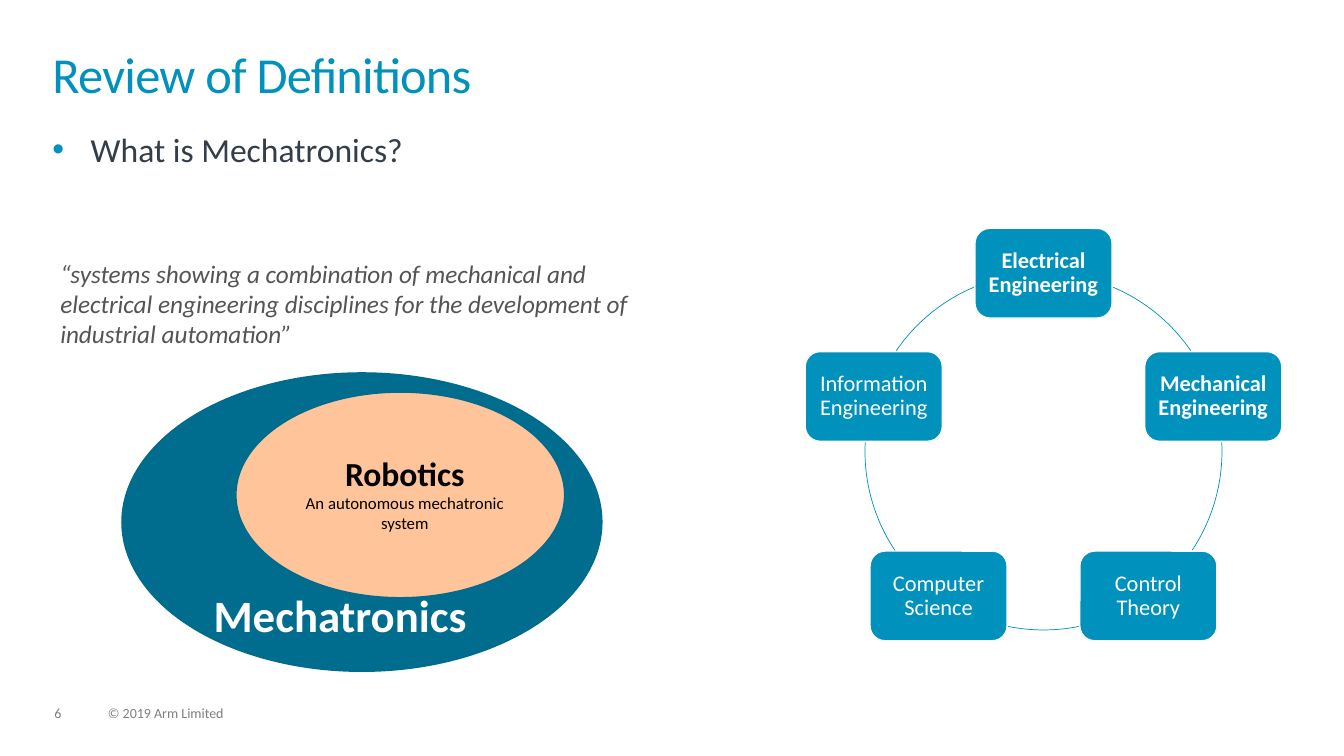
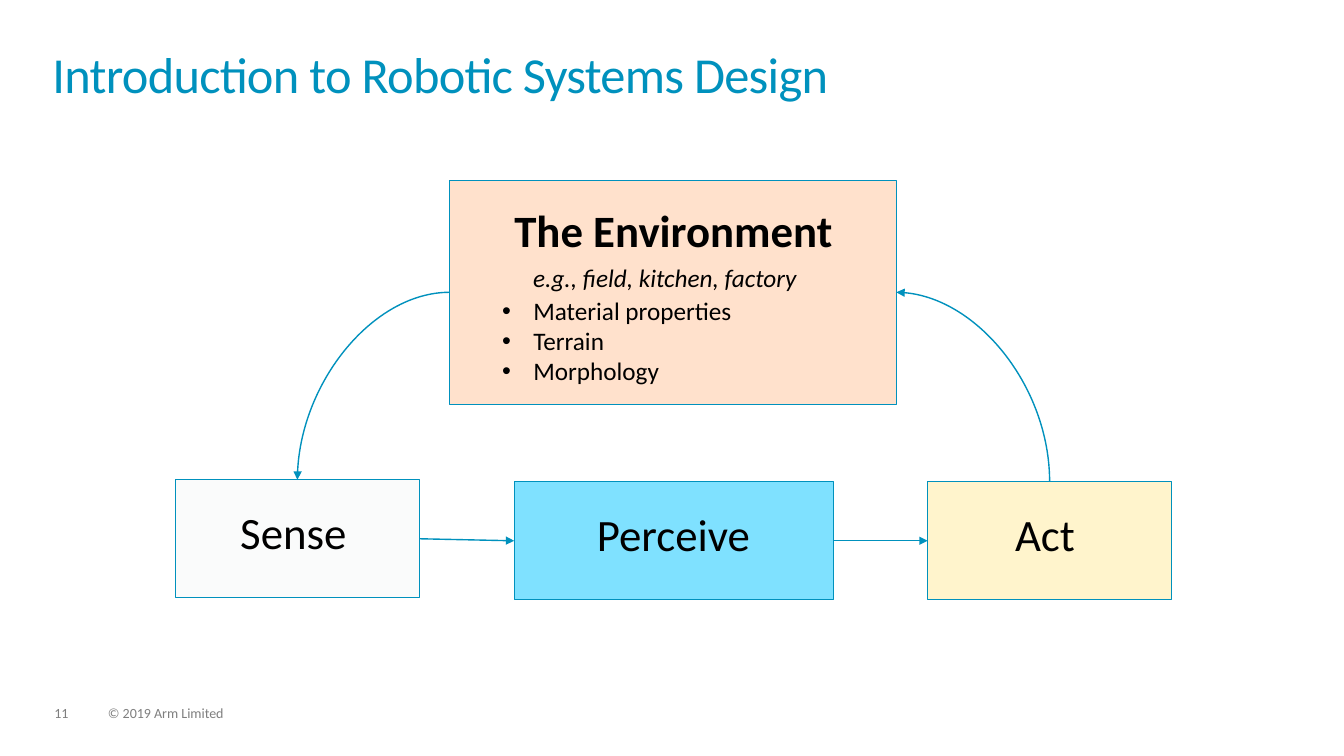
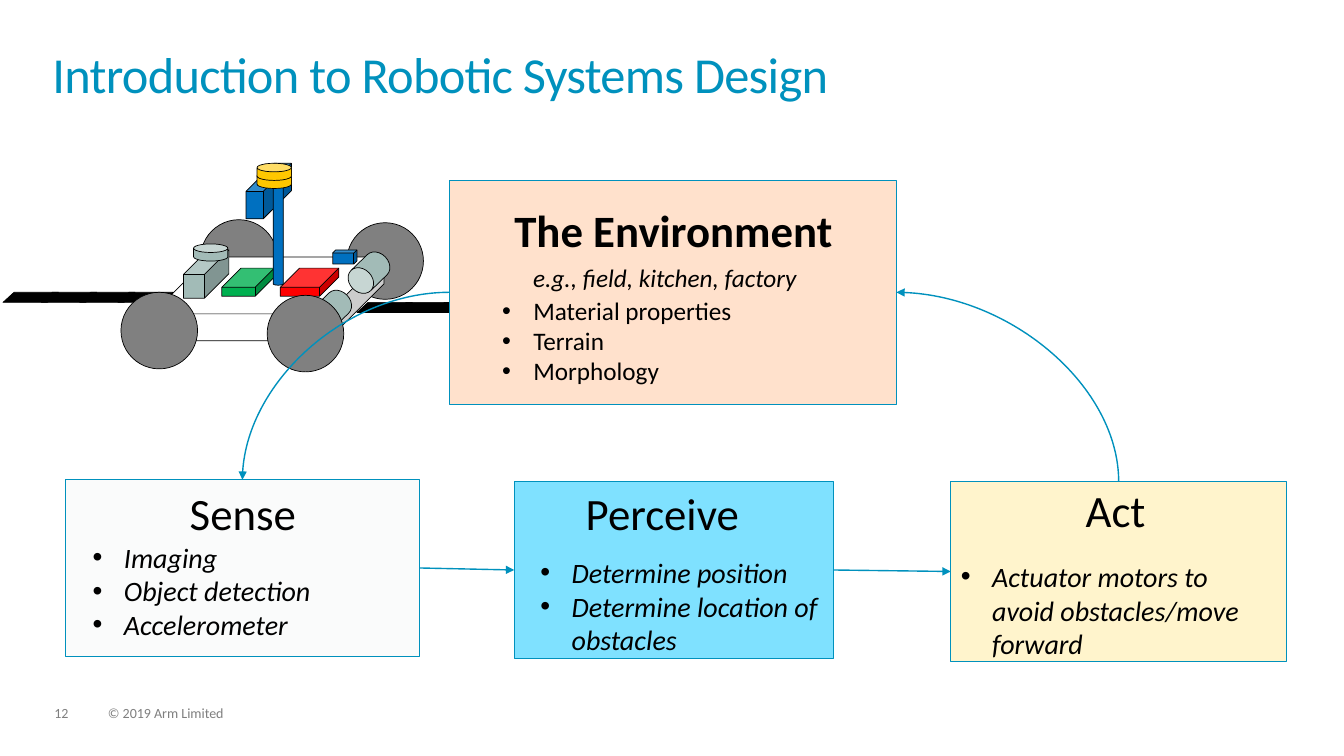
"""Build three slides on mechatronics and robotic systems design."""
from dataclasses import dataclass
from math import cos, radians, sin

from lxml.etree import SubElement
from pptx import Presentation
from pptx.dml.color import RGBColor
from pptx.enum.shapes import MSO_CONNECTOR as Connector, MSO_SHAPE as Kind
from pptx.enum.text import MSO_ANCHOR as Anchor, MSO_AUTO_SIZE as AutoSize, PP_ALIGN as Align
from pptx.oxml.ns import qn
from pptx.util import Inches, Pt


@dataclass(frozen=True)
class Theme:
    font: str = "Calibri"
    blue: str = "0091BD"
    deep_blue: str = "006D8E"
    deep_line: str = "006B8C"
    sky: str = "7FE1FF"
    mist: str = "FAFBFB"
    peach: str = "FFE1CC"
    orange: str = "FFC499"
    cream: str = "FFF4CC"
    ink: str = "333E48"
    quote: str = "545454"
    footer: str = "7F7F7F"
    white: str = "FFFFFF"
    black: str = "000000"
    wheel: str = "808080"
    steel: str = "A2BBB7"
    red: str = "FF0000"
    green: str = "00B050"
    cobalt: str = "0070C0"
    yellow: str = "FFC700"
    title_size: int = 36
    heading_size: int = 32
    body_size: int = 24
    detail_size: int = 20
    text_size: int = 18
    node_size: int = 16
    caption_size: int = 12
    footer_size: int = 10


THEME = Theme()


class Deck:
    def __init__(self, theme):
        self.theme = theme
        self.presentation = Presentation()
        self.presentation.slide_width = Inches(13.33)
        self.presentation.slide_height = Inches(7.5)
        self.slide = None

    def new_slide(self, title, number, body=None):
        theme = self.theme
        layout = self.presentation.slide_layouts[1 if body else 5]
        self.slide = self.presentation.slides.add_slide(layout)
        run = self.fill_placeholder(0, (0.52, 0.52, 12.28, 0.72), title,
                                    theme.title_size, colour=theme.blue, spacing=0.85)
        run.font._element.set("spc", "-50")
        if body:
            self.fill_placeholder(1, (0.52, 1.28, 5.73, 4.47), body, theme.body_size,
                                  colour=theme.ink, bullet=theme.blue, indent=0.38)
        for left, width, text in ((0.54, 0.34, number), (1.07, 1.71, "© 2019 Arm Limited")):
            self.text((left, 7.01, width, 0.15), text, size=theme.footer_size,
                      colour=theme.footer, spacing=0.9)

    def fill_placeholder(self, index, at, text, size, **style):
        shape = self.slide.placeholders[index]
        shape.left, shape.top, shape.width, shape.height = map(Inches, at)
        self.frame(shape, 0, 0, Anchor.TOP)
        return self.paragraph(shape.text_frame, text, size, **style)

    def frame(self, shape, side, end, anchor):
        frame = shape.text_frame
        frame.word_wrap = True
        frame.auto_size = AutoSize.NONE
        frame.vertical_anchor = anchor
        frame.margin_left = frame.margin_right = Inches(side)
        frame.margin_top = frame.margin_bottom = Inches(end)

    def paragraph(self, frame, text, size, colour=None, bold=False, italic=False,
                  align=Align.LEFT, spacing=1.0, bullet=None, indent=0.31):
        paragraph = frame.paragraphs[0]
        if paragraph.runs:
            paragraph = frame.add_paragraph()
        if bullet:
            properties = paragraph._p.get_or_add_pPr()
            properties.set("marL", str(Inches(indent)))
            properties.set("indent", str(-Inches(indent)))
            SubElement(SubElement(properties, qn("a:buClr")), qn("a:srgbClr")).set("val", bullet)
            SubElement(properties, qn("a:buFont")).set("typeface", "Arial")
            SubElement(properties, qn("a:buChar")).set("char", "•")
        paragraph.alignment = align
        paragraph.line_spacing = spacing
        paragraph.space_before = Pt(0)
        run = paragraph.add_run()
        run.text = text
        font = run.font
        font.name, font.size, font.bold, font.italic = self.theme.font, Pt(size), bold, italic
        font.color.rgb = RGBColor.from_string(colour or self.theme.black)
        return run

    def text(self, at, *lines, side=0, end=0, **style):
        box = self.slide.shapes.add_textbox(*map(Inches, at))
        self.frame(box, side, end, Anchor.TOP)
        for line in lines:
            self.paragraph(box.text_frame, line, **style)
        return box

    def shape(self, kind, at, fill=None, line=None, width=0.5, adjust=(), rotation=0):
        shape = self.slide.shapes.add_shape(kind, *map(Inches, at))
        shape.shadow.inherit = False
        shape.rotation = rotation
        for index, value in enumerate(adjust):
            shape.adjustments[index] = value
        if fill:
            shape.fill.solid()
            shape.fill.fore_color.rgb = RGBColor.from_string(fill)
        else:
            shape.fill.background()
        shape.line.color.rgb = RGBColor.from_string(line or self.theme.blue)
        shape.line.width = Pt(width)
        return shape

    def node(self, at, label, bold):
        theme = self.theme
        shape = self.shape(Kind.ROUNDED_RECTANGLE, at, theme.blue, theme.white, 1)
        self.frame(shape, 0.07, 0.07, Anchor.MIDDLE)
        self.paragraph(shape.text_frame, label, theme.node_size, colour=theme.white,
                       bold=bold, align=Align.CENTER, spacing=0.9)

    def connector(self, kind, begin, end, arrow):
        connector = self.slide.shapes.add_connector(kind, *begin, *end)
        connector.line.color.rgb = RGBColor.from_string(self.theme.blue)
        connector.line.width = Pt(1)
        SubElement(connector.line._get_or_add_ln(), qn(arrow)).set("type", "triangle")
        properties = connector._element.spPr
        SubElement(properties, qn("a:effectLst"))
        if kind == Connector.CURVE:
            properties.find(qn("a:prstGeom")).set("prst", "curvedConnector2")
        return connector

    def arrow(self, source, target):
        begin = source.left + source.width, source.top + source.height // 2
        end = target.left, target.top + target.height // 2
        connector = self.connector(Connector.STRAIGHT, begin, end, "a:tailEnd")
        connector.begin_connect(source, 3)
        connector.end_connect(target, 1)

    def curve(self, upper, lower, to_lower):
        begin_x = upper.left if to_lower else upper.left + upper.width
        begin = begin_x, upper.top + upper.height // 2
        end = lower.left + lower.width // 2, lower.top
        self.connector(Connector.CURVE, begin, end, "a:tailEnd" if to_lower else "a:headEnd")


def draw_discipline_ring(deck):
    centre_x, centre_y, radius = 10.35, 4.48, 1.77
    width, height = 1.36, 0.89
    disciplines = (("Electrical Engineering", True), ("Mechanical Engineering", True),
                   ("Control Theory", False), ("Computer Science", False),
                   ("Information Engineering", False))
    arcs = ((293, 325.6), (357.1, 33.7), (78.6, 101.4), (146.3, 182.9), (214.4, 247))
    ring = (centre_x - radius, centre_y - radius, 2 * radius, 2 * radius)
    for index, ((label, bold), arc) in enumerate(zip(disciplines, arcs)):
        angle = radians(360 / len(disciplines) * index - 90)
        left = centre_x + radius * cos(angle) - width / 2
        top = centre_y + radius * sin(angle) - height / 2
        deck.node((left, top, width, height), label, bold)
        deck.shape(Kind.ARC, ring, adjust=[degrees * 0.6 for degrees in arc])


def draw_definitions(deck):
    theme = deck.theme
    deck.new_slide("Review of Definitions", "6", "What is Mechatronics?")
    draw_discipline_ring(deck)
    deck.text((0.5, 2.51, 6.17, 1.01),
              "“systems showing a combination of mechanical and electrical engineering "
              "disciplines for the development of industrial automation”",
              side=0.1, end=0.05, size=theme.text_size, colour=theme.quote, italic=True)
    deck.shape(Kind.OVAL, (1.21, 3.7, 4.76, 2.96), theme.deep_blue, theme.deep_line, 1)
    deck.shape(Kind.OVAL, (2.34, 3.89, 3.26, 2.04), theme.orange, theme.deep_line, 1)
    robotics = deck.text((2.84, 4.44, 2.35, 0.91), "Robotics", side=0.1, end=0.05,
                         size=theme.body_size, bold=True, align=Align.CENTER)
    deck.paragraph(robotics.text_frame, "An autonomous mechatronic system",
                   theme.caption_size, align=Align.CENTER)
    deck.text((2.02, 5.78, 2.76, 0.64), "Mechatronics", side=0.1, end=0.05,
              size=theme.heading_size, colour=theme.white, bold=True)


def draw_cycle(deck, steps):
    theme = deck.theme
    environment = deck.shape(Kind.RECTANGLE, (4.46, 1.79, 4.43, 2.22), theme.peach)
    deck.text((4.72, 2.01, 3.92, 0.75), "The Environment",
              size=theme.heading_size, bold=True, align=Align.CENTER)
    deck.text((4.47, 2.6, 4.25, 0.39), "e.g., field, kitchen, factory",
              size=theme.text_size, italic=True, align=Align.CENTER)
    deck.text((4.98, 2.93, 3.8, 1), "Material properties", "Terrain", "Morphology",
              size=theme.text_size, bullet=theme.black)
    boxes = []
    fills = theme.mist, theme.sky, theme.cream
    for label, fill, (box_at, label_at) in zip(("Sense", "Perceive", "Act"), fills, steps):
        boxes.append(deck.shape(Kind.RECTANGLE, box_at, fill))
        deck.text(label_at, label, size=theme.heading_size, align=Align.CENTER)
    sense, perceive, act = boxes
    deck.arrow(sense, perceive)
    deck.arrow(perceive, act)
    deck.curve(environment, sense, to_lower=True)
    deck.curve(environment, act, to_lower=False)


def draw_robot(deck):
    theme = deck.theme
    wheel = 0.76
    parts = [
        (Kind.OVAL, (1.99, 2.18, wheel, wheel), theme.wheel),
        (Kind.OVAL, (3.44, 2.21, wheel, wheel), theme.wheel),
        (Kind.CUBE, (1.51, 2.55, 2.3, 0.83), theme.white, 0.68),
        (Kind.CUBE, (2.78, 2.66, 0.58, 0.28), theme.red, 0.68),
        (Kind.CAN, (3.52, 2.48, 0.28, 0.45), theme.steel, 0.81, 225.9),
        (Kind.CAN, (3.14, 2.86, 0.28, 0.45), theme.steel, 0.81, 225.9),
        (Kind.CUBE, (2.2, 2.66, 0.52, 0.28), theme.green, 0.68),
        (Kind.CUBE, (1.82, 2.48, 0.45, 0.48), theme.steel, 0.54),
        (Kind.CAN, (1.92, 2.42, 0.34, 0.17), theme.steel, 0.5),
        (Kind.OVAL, (2.65, 2.93, wheel, wheel), theme.wheel),
        (Kind.CUBE, (2.44, 1.62, 0.45, 0.55), theme.cobalt, 0.62),
        (Kind.CAN, (2.71, 1.8, 0.1, 1.03), theme.cobalt, 0.25),
        (Kind.CUBE, (3.3, 2.48, 0.24, 0.14), theme.cobalt, 0.22),
    ]
    for start, top, count in ((0.03, 2.9, 4), (3.54, 3, 3)):
        parts += [(Kind.FLOWCHART_DATA, (start + 0.38 * index, top, 0.55, 0.1), theme.black)
                  for index in range(count)]
    parts.append((Kind.OVAL, (1.2, 2.9, wheel, wheel), theme.wheel))
    parts += [(Kind.CAN, (2.55, top, 0.34, 0.17), theme.yellow, 0.5) for top in (1.7, 1.62)]
    for kind, at, fill, *options in parts:
        deck.shape(kind, at, fill, theme.black, adjust=options[:1],
                   rotation=options[1] if len(options) > 1 else 0)


def draw_overview(deck):
    deck.new_slide("Introduction to Robotic Systems Design", "11")
    draw_cycle(deck, (
        ((1.74, 4.76, 2.42, 1.17), (2.12, 5.01, 1.58, 0.75)),
        ((5.1, 4.78, 3.17, 1.17), (5.68, 5.03, 2, 0.75)),
        ((9.2, 4.78, 2.42, 1.17), (9.45, 5.03, 1.83, 0.75)),
    ))


def draw_details(deck):
    theme = deck.theme
    deck.new_slide("Introduction to Robotic Systems Design", "12")
    draw_robot(deck)
    draw_cycle(deck, (
        ((0.65, 4.76, 3.51, 1.75), (1.26, 4.82, 2.3, 0.75)),
        ((5.1, 4.78, 3.17, 1.75), (5.57, 4.82, 2, 0.75)),
        ((9.43, 4.78, 3.33, 1.78), (9.8, 4.79, 2.53, 0.75)),
    ))
    details = (
        ((0.92, 5.36, 3.2, 0.98), ("Imaging", "Object detection", "Accelerometer")),
        ((5.36, 5.51, 2.91, 0.98), ("Determine position", "Determine location of obstacles")),
        ((9.53, 5.55, 2.91, 0.98), ("Actuator motors to avoid obstacles/move forward",)),
    )
    for at, lines in details:
        deck.text(at, *lines, size=theme.detail_size, italic=True, bullet=theme.black)


def main():
    deck = Deck(THEME)
    draw_definitions(deck)
    draw_overview(deck)
    draw_details(deck)
    deck.presentation.save("out.pptx")


if __name__ == "__main__":
    main()
